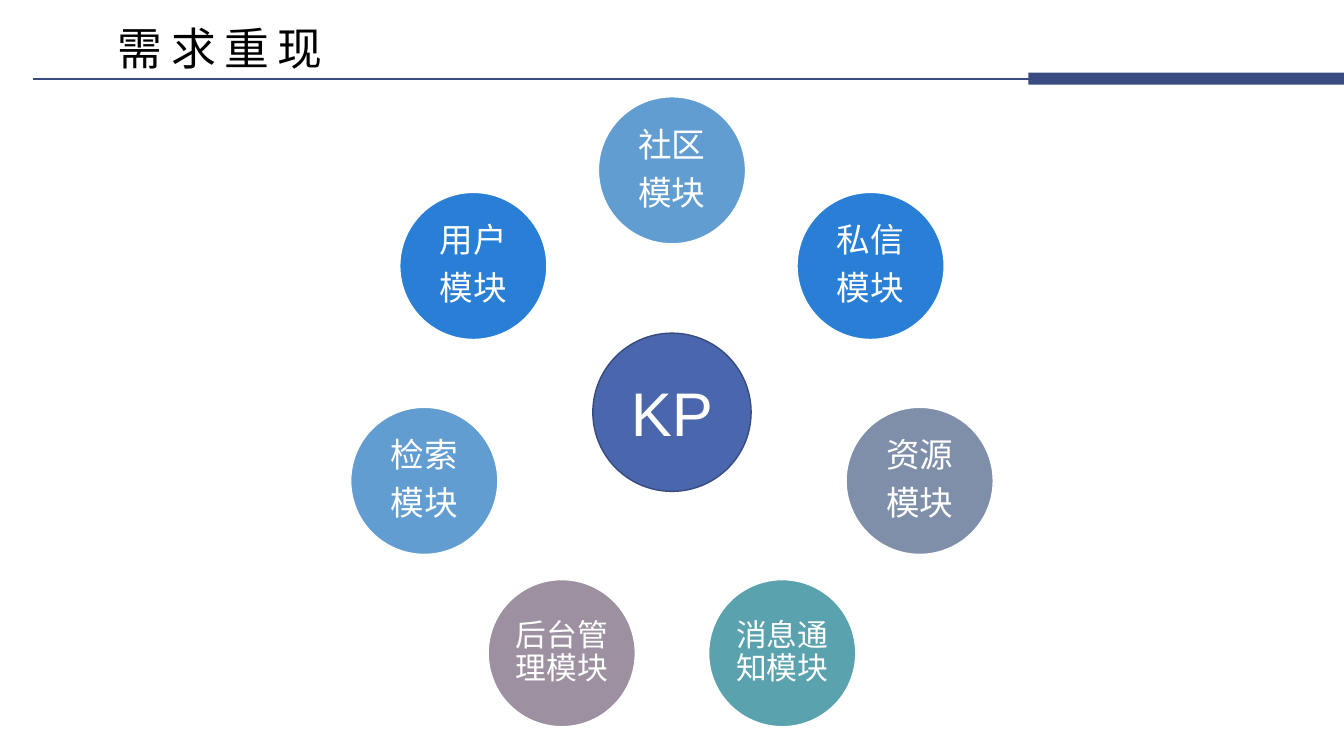
from dataclasses import dataclass
from math import cos, pi, sin

from lxml.etree import SubElement
from pptx import Presentation
from pptx.dml.color import RGBColor
from pptx.enum.shapes import MSO_CONNECTOR, MSO_SHAPE
from pptx.enum.text import MSO_ANCHOR, MSO_AUTO_SIZE, PP_ALIGN
from pptx.oxml.ns import qn
from pptx.util import Inches, Pt

TITLE = "需求重现"
CORE = "KP"
# Clockwise from the top: label, fill colour, type size
MODULES = [
    ("社区\n模块", "629DD1", 24),
    ("私信\n模块", "297FD5", 24),
    ("资源\n模块", "7F8FA9", 24),
    ("消息通知模块", "5AA2AE", 22),
    ("后台管理模块", "9D90A0", 22),
    ("检索\n模块", "629DD1", 24),
    ("用户\n模块", "297FD5", 24),
]


@dataclass(frozen=True)
class Theme:
    """Colours, font and type sizes of the slide."""
    font: str = "Arial"
    ink: str = "000000"
    light: str = "FFFFFF"
    rule: str = "384C81"
    core: str = "4A66AC"
    core_edge: str = "374B7F"
    title_size: int = 32
    core_size: int = 44


THEME = Theme()
SLIDE_W, SLIDE_H = 13.33, 7.5
CENTER_X = SLIDE_W / 2
RING_Y, RING_RADIUS = 4.21, 2.52
MODULE_SIZE = 1.46
CORE_Y, CORE_SIZE = 4.09, 1.57
RULE_Y = 0.78


def color(hex_code):
    """Turn a hex code into a colour."""
    return RGBColor.from_string(hex_code)


def style_text(frame, size, hex_code):
    """Set font, size and colour of every run in a text frame."""
    for paragraph in frame.paragraphs:
        for run in paragraph.runs:
            run.font.name = THEME.font
            run.font.size = Pt(size)
            run.font.color.rgb = color(hex_code)


def set_insets(frame, left, top, right, bottom):
    """Set the four inner margins of a text frame, in inches."""
    frame.margin_left, frame.margin_top = Inches(left), Inches(top)
    frame.margin_right, frame.margin_bottom = Inches(right), Inches(bottom)


def add_circle(slide, x, y, diameter, fill, edge, label, size):
    """Draw a labelled circle centred on x, y and return its text frame."""
    circle = slide.shapes.add_shape(
        MSO_SHAPE.OVAL, Inches(x - diameter / 2), Inches(y - diameter / 2),
        Inches(diameter), Inches(diameter))
    circle.shadow.inherit = False
    circle.fill.solid()
    circle.fill.fore_color.rgb = color(fill)
    circle.line.color.rgb = color(edge)
    circle.line.width = Pt(1)
    frame = circle.text_frame
    frame.text = label
    frame.word_wrap = True
    frame.vertical_anchor = MSO_ANCHOR.MIDDLE
    for paragraph in frame.paragraphs:
        paragraph.alignment = PP_ALIGN.CENTER
    style_text(frame, size, THEME.light)
    return frame


def add_title(slide):
    """Place and format the slide title."""
    title = slide.shapes.title
    title.left, title.top = Inches(1.17), Inches(0.02)
    title.width, title.height = Inches(9.79), Inches(0.73)
    frame = title.text_frame
    frame.text = TITLE
    frame.auto_size = MSO_AUTO_SIZE.NONE
    frame.vertical_anchor = MSO_ANCHOR.BOTTOM
    set_insets(frame, 0, 0.05, 0, 0)
    heading = frame.paragraphs[0]
    heading.alignment = PP_ALIGN.LEFT
    heading.line_spacing = 0.9
    style_text(frame, THEME.title_size, THEME.ink)
    heading.runs[0].font._element.set("spc", "600")


def add_header_rule(slide):
    """Draw the thin rule under the title and the bar at its right end."""
    rule = slide.shapes.add_connector(
        MSO_CONNECTOR.STRAIGHT, Inches(0.33), Inches(RULE_Y),
        Inches(11.56), Inches(RULE_Y))
    rule.line.color.rgb = color(THEME.rule)
    rule.line.width = Pt(1.5)
    SubElement(rule._element.spPr, qn("a:effectLst"))
    bar = slide.shapes.add_shape(
        MSO_SHAPE.RECTANGLE, Inches(10.2), Inches(RULE_Y - 0.06),
        Inches(SLIDE_W - 10.2), Inches(0.12))
    bar.shadow.inherit = False
    bar.fill.solid()
    bar.fill.fore_color.rgb = color(THEME.rule)
    bar.line.fill.background()


def add_module_ring(slide):
    """Spread the modules evenly around the core."""
    for index, (label, fill, size) in enumerate(MODULES):
        angle = 2 * pi * index / len(MODULES)
        frame = add_circle(
            slide, CENTER_X + RING_RADIUS * sin(angle),
            RING_Y - RING_RADIUS * cos(angle),
            MODULE_SIZE, fill, THEME.light, label, size)
        set_insets(frame, 0.03, 0.03, 0.03, 0.03)
        for paragraph in frame.paragraphs:
            paragraph.line_spacing = 0.9
            paragraph.space_after = Pt(0.35 * size)
    add_circle(slide, CENTER_X, CORE_Y, CORE_SIZE, THEME.core,
               THEME.core_edge, CORE, THEME.core_size)


def main():
    """Build the slide and save it."""
    deck = Presentation()
    deck.slide_width, deck.slide_height = Inches(SLIDE_W), Inches(SLIDE_H)
    slide = deck.slides.add_slide(deck.slide_layouts.get_by_name("Title Only"))
    add_title(slide)
    add_header_rule(slide)
    add_module_ring(slide)
    deck.save("out.pptx")


main()
